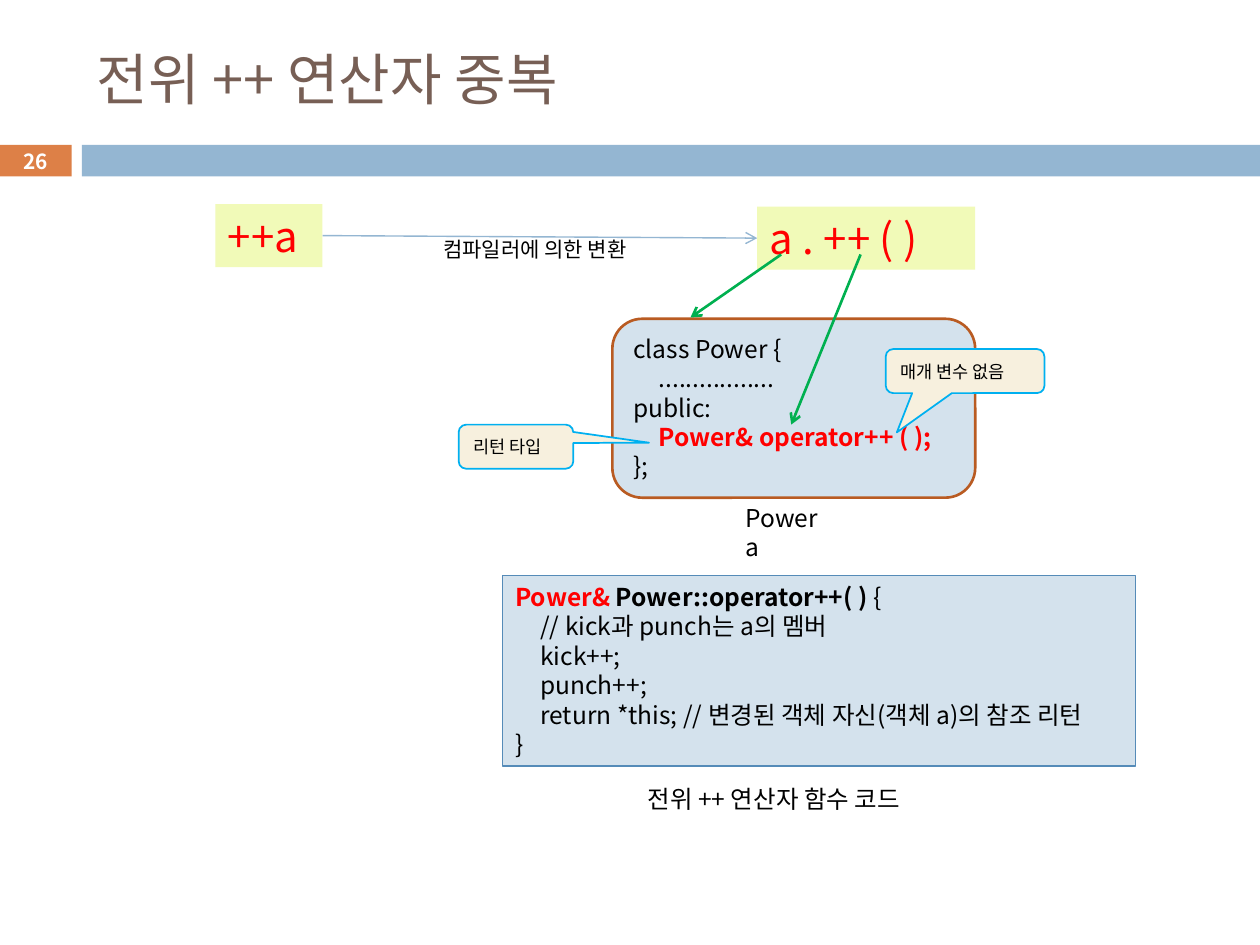
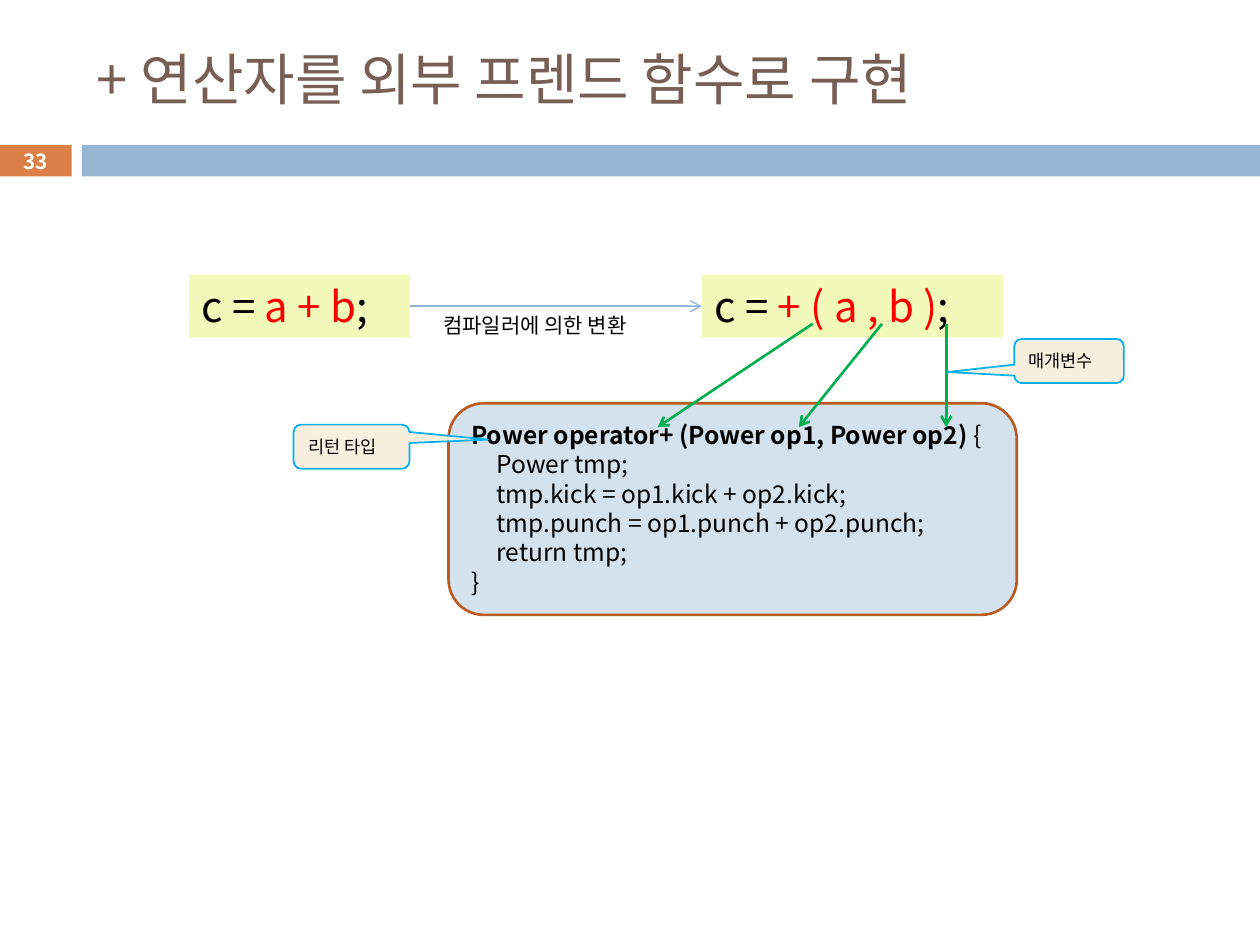
from dataclasses import dataclass
from typing import NamedTuple

from lxml import etree
from pptx import Presentation
from pptx import util as u
from pptx.dml import color as dml
from pptx.enum import shapes, text
from pptx.oxml import ns

FONT = "Noto Sans CJK KR"
COLORS = {
    "title": "775F55", "number": "DD8047", "band": "94B6D2", "white": "FFFFFF",
    "black": "000000", "red": "FF0000", "expression": "F1FAB8", "code": "D4E2ED",
    "class_edge": "B95B22", "function_edge": "558BB8", "callout": "F7F0DE",
    "callout_edge": "00B0F0", "mapping": "00B050",
}
LINE_FACTOR = 1.2
CODE_INDENT = u.Inches(0.2)
CONVERSION = "컴파일러에 의한 변환"


class Run(NamedTuple):
    text: str
    color: str = "black"
    bold: bool = False


class CodeLine(NamedTuple):
    runs: tuple[Run, ...]
    level: int = 0


class Area(NamedTuple):
    left: float
    top: float
    width: float
    height: float

    def inches(self) -> list[int]:
        return [u.Inches(length) for length in self]


@dataclass(frozen=True)
class Panel:
    """A text area, with an optional preset shape, fill and edge."""
    area: Area
    lines: tuple[CodeLine, ...]
    size: float
    kind: shapes.MSO_SHAPE | None = None
    fill: str = ""
    edge: str = ""
    weight: float = 1
    adjustments: tuple[float, ...] = ()
    middle: bool = False
    centered: bool = False
    margin: float | None = None


class Mapping(NamedTuple):
    """A green arrow from a part of the expression to the code."""
    start: tuple[float, float]
    end: tuple[float, float]


@dataclass(frozen=True)
class Lesson:
    number: int
    title: str
    before: Panel
    after: Panel
    conversion_top: float
    panels: tuple[Panel, ...]
    mappings: tuple[Mapping, ...]
    callouts: tuple[Panel, ...]


def line(content: str, level: int = 0, color: str = "black",
         bold: bool = False) -> CodeLine:
    return CodeLine((Run(content, color, bold),), level)


def expression(area: Area, *runs: Run) -> Panel:
    return Panel(area, (CodeLine(runs),), 24, shapes.MSO_SHAPE.RECTANGLE, "expression")


def class_box(area: Area, *lines: CodeLine) -> Panel:
    return Panel(area, lines, 14, shapes.MSO_SHAPE.ROUNDED_RECTANGLE,
                 "code", "class_edge", 1.5)


def callout(area: Area, content: str, tip: tuple[float, float]) -> Panel:
    return Panel(area, (line(content),), 10,
                 shapes.MSO_SHAPE.ROUNDED_RECTANGULAR_CALLOUT,
                 "callout", "callout_edge", 1, (*tip, 0.17), middle=True)


def caption(area: Area, content: str, size: float = 14) -> Panel:
    return Panel(area, (line(content),), size)


def rgb(name: str) -> dml.RGBColor:
    return dml.RGBColor.from_string(COLORS[name])


def write(frame, panel: Panel) -> None:
    frame_format = {
        "word_wrap": True,
        "vertical_anchor": text.MSO_ANCHOR.MIDDLE if panel.middle else text.MSO_ANCHOR.TOP,
    }
    if panel.margin is not None:
        for side in ("left", "right", "top", "bottom"):
            frame_format[f"margin_{side}"] = u.Inches(panel.margin)
    for name, value in frame_format.items():
        setattr(frame, name, value)

    for index, code_line in enumerate(panel.lines):
        paragraph = frame.add_paragraph() if index else frame.paragraphs[0]
        paragraph.alignment = text.PP_ALIGN.CENTER if panel.centered else text.PP_ALIGN.LEFT
        if not panel.middle:
            paragraph.line_spacing = u.Pt(panel.size * LINE_FACTOR)
        if code_line.level:
            properties = paragraph._p.get_or_add_pPr()
            properties.set("marL", str(code_line.level * CODE_INDENT))
            properties.set("indent", "0")
        for part in code_line.runs:
            run = paragraph.add_run()
            run.text = part.text
            run.font.color.rgb = rgb(part.color)
            font_format = {"name": FONT, "size": u.Pt(panel.size), "bold": part.bold}
            for name, value in font_format.items():
                setattr(run.font, name, value)
            east_asian = etree.SubElement(run._r.get_or_add_rPr(), ns.qn("a:ea"))
            east_asian.set("typeface", FONT)


def draw_panel(slide, panel: Panel):
    if panel.kind is None:
        drawn = slide.shapes.add_textbox(*panel.area.inches())
    else:
        drawn = slide.shapes.add_shape(panel.kind, *panel.area.inches())
        drawn.shadow.inherit = False
        drawn.fill.solid()
        drawn.fill.fore_color.rgb = rgb(panel.fill)
        if panel.edge:
            drawn.line.color.rgb = rgb(panel.edge)
            drawn.line.width = u.Pt(panel.weight)
        else:
            drawn.line.fill.background()
        for index, value in enumerate(panel.adjustments):
            drawn.adjustments[index] = value
    write(drawn.text_frame, panel)
    return drawn


def draw_arrow(slide, mapping: Mapping, color: str, weight: float):
    ends = [u.Inches(length) for point in mapping for length in point]
    arrow = slide.shapes.add_connector(shapes.MSO_CONNECTOR.STRAIGHT, *ends)
    arrow.line.color.rgb = rgb(color)
    arrow.line.width = u.Pt(weight)
    head = etree.SubElement(arrow.line._get_or_add_ln(), ns.qn("a:tailEnd"))
    head.set("type", "arrow")
    etree.SubElement(arrow._element.spPr, ns.qn("a:effectLst"))
    return arrow


def draw_header(slide, lesson: Lesson) -> None:
    rectangle = shapes.MSO_SHAPE.RECTANGLE
    for panel in (
        Panel(Area(0, 1.15, 0.57, 0.25), (line(str(lesson.number), 0, "white", True),),
              11.9, rectangle, "number", middle=True, centered=True, margin=0),
        Panel(Area(0.65, 1.15, 9.35, 0.25), (), 12, rectangle, "band"),
        Panel(Area(0.67, 0.25, 8.92, 0.74), (line(lesson.title, 0, "title"),),
              32, middle=True),
    ):
        draw_panel(slide, panel)


def draw_lesson(slide, lesson: Lesson) -> None:
    draw_header(slide, lesson)
    for panel in lesson.panels:
        draw_panel(slide, panel)
    before = draw_panel(slide, lesson.before)
    after = draw_panel(slide, lesson.after)
    conversion = draw_arrow(slide, Mapping((0, 0), (1, 0)), "band", 0.79)
    conversion.begin_connect(before, 3)
    conversion.end_connect(after, 1)
    draw_panel(slide, caption(Area(3.42, lesson.conversion_top, 2.06, 0.3), CONVERSION, 12))
    for mapping in lesson.mappings:
        draw_arrow(slide, mapping, "mapping", 1.5)
    for note in lesson.callouts:
        draw_panel(slide, note)


PREFIX_FUNCTION = Panel(
    Area(3.99, 4.57, 5.02, 1.51),
    (
        CodeLine((Run("Power& ", "red", True),
                  Run("Power::operator++( ) ", bold=True), Run("{"))),
        line("// kick과 punch는 a의 멤버", 1),
        line("kick++;", 1),
        line("punch++;", 1),
        line("return *this; // 변경된 객체 자신(객체 a)의 참조 리턴", 1),
        line("}"),
    ),
    14, shapes.MSO_SHAPE.RECTANGLE, "code", "function_edge", 0.75,
)

LESSONS = (
    Lesson(
        number=26,
        title="전위 ++ 연산자 중복",
        before=expression(Area(1.71, 1.62, 0.85, 0.5), Run("++a", "red")),
        after=expression(Area(6.01, 1.64, 1.73, 0.5), Run("a . ++ ( )", "red")),
        conversion_top=1.83,
        panels=(
            class_box(
                Area(4.86, 2.53, 2.88, 1.42),
                line("class Power {"),
                line(".................", 1),
                line("public:"),
                line("Power& operator++ ( );", 1, "red", True),
                line("};"),
            ),
            PREFIX_FUNCTION,
            caption(Area(5.82, 3.94, 0.91, 0.34), "Power a"),
            caption(Area(5.04, 6.17, 2.52, 0.34), "전위 ++ 연산자 함수 코드"),
        ),
        mappings=(
            Mapping((6.83, 2.02), (6.28, 3.37)),
            Mapping((6.2, 2.02), (5.48, 2.52)),
        ),
        callouts=(
            callout(Area(3.64, 3.37, 0.91, 0.35), "리턴 타입", (1.16, -0.09)),
            callout(Area(7.03, 2.77, 1.26, 0.35), "매개 변수 없음", (-0.43, 1.39)),
        ),
    ),
    Lesson(
        number=33,
        title="+ 연산자를 외부 프렌드 함수로 구현",
        before=expression(Area(1.5, 2.18, 1.75, 0.5),
                          Run("c = "), Run("a + b", "red"), Run(";")),
        after=expression(Area(5.57, 2.18, 2.39, 0.5),
                         Run("c = "), Run("+ ( a , b )", "red"), Run(";")),
        conversion_top=2.43,
        panels=(
            class_box(
                Area(3.56, 3.2, 4.51, 1.68),
                CodeLine((Run("Power operator+ (Power op1, Power op2) ", bold=True),
                          Run("{"))),
                line("Power tmp;", 1),
                line("tmp.kick = op1.kick + op2.kick;", 1),
                line("tmp.punch = op1.punch + op2.punch;", 1),
                line("return tmp;", 1),
                line("}"),
            ),
        ),
        mappings=tuple(
            Mapping((start, 2.57), (end, 3.39))
            for start, end in ((6.45, 5.22), (7, 6.34), (7.51, 7.51))
        ),
        callouts=(
            callout(Area(2.33, 3.37, 0.92, 0.35), "리턴 타입", (1.18, -0.16)),
            callout(Area(8.05, 2.69, 0.87, 0.35), "매개변수", (-1.11, 0.25)),
        ),
    ),
)


def main() -> None:
    deck = Presentation()
    deck.slide_width, deck.slide_height = u.Inches(10), u.Inches(7.5)
    blank = deck.slide_layouts[6]
    for lesson in LESSONS:
        draw_lesson(deck.slides.add_slide(blank), lesson)
    deck.save("out.pptx")


if __name__ == "__main__":
    main()
